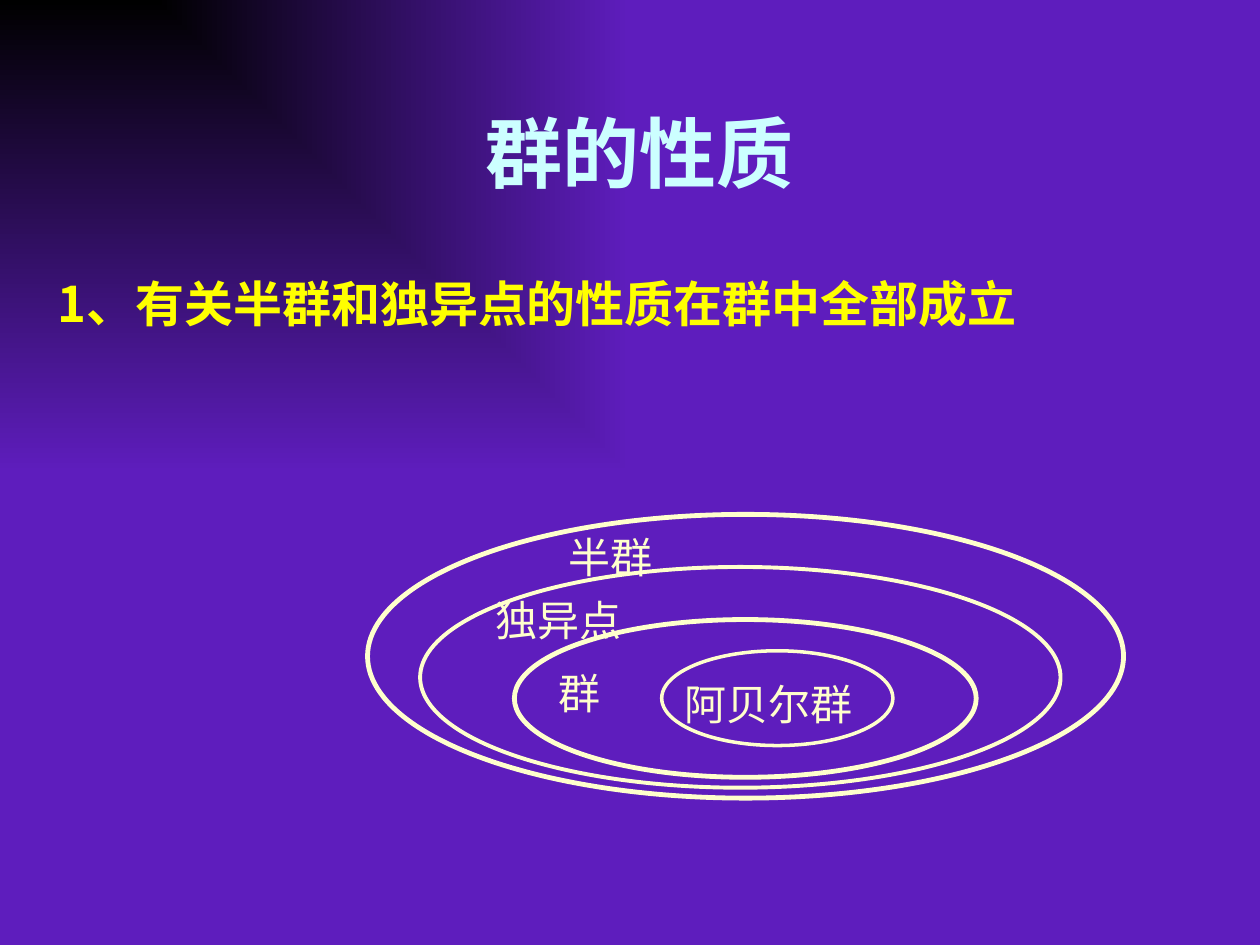
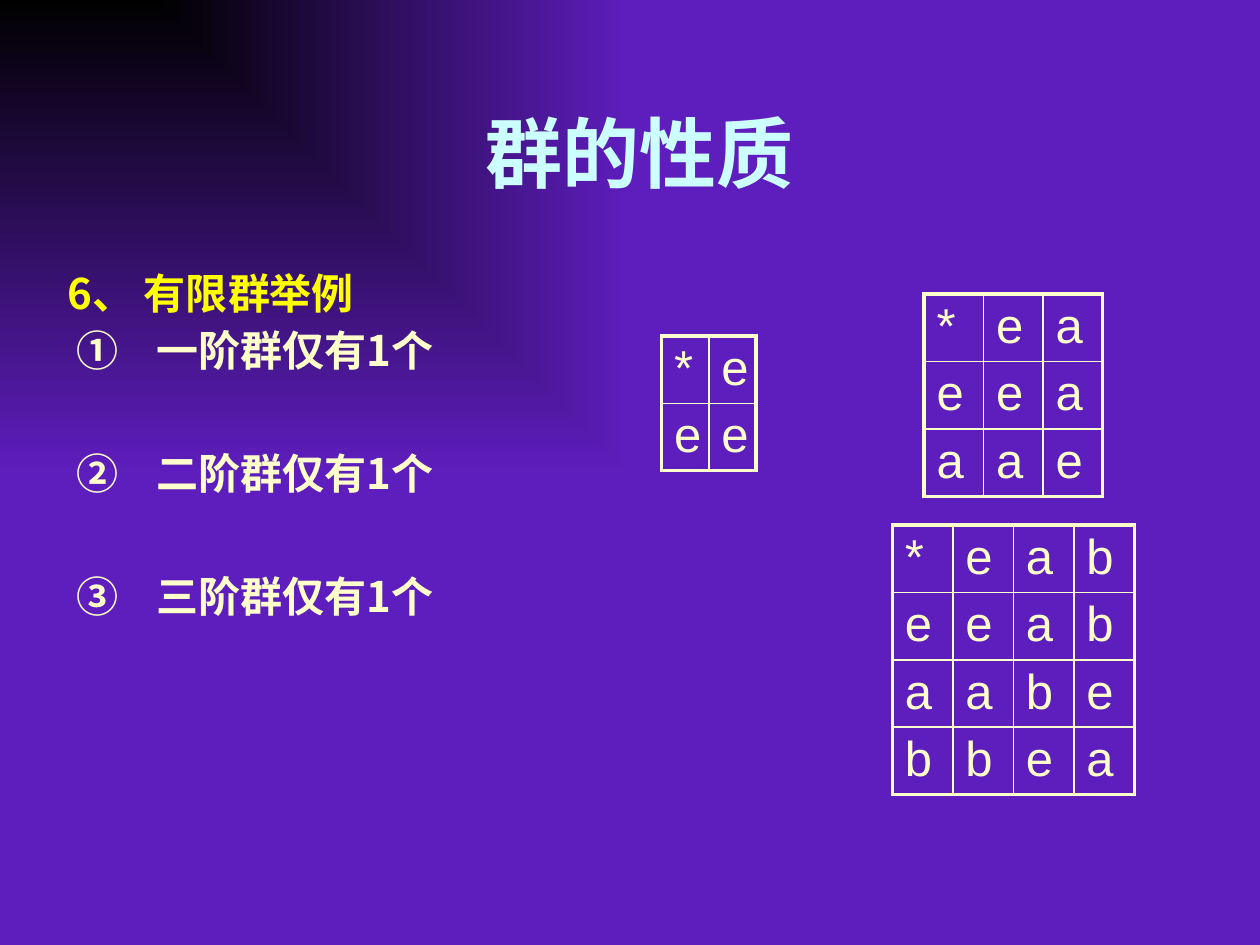
import pptx
import pptx.dml.color
import pptx.enum.shapes
import pptx.enum.text
import pptx.oxml
import pptx.oxml.ns
import pptx.util
from lxml import etree

Cm, Pt = pptx.util.Cm, pptx.util.Pt
qn = pptx.oxml.ns.qn

# Shared look
COLORS = {"black": "000000", "purple": "5E1DBD", "title": "CCFFFF",
          "heading": "FFFF00", "cream": "FFFFCC"}
CJK_FONT = "Noto Sans CJK JP"
TITLE_TEXT = "群的性质"
TITLE_FORMAT = {"size": Pt(44), "name": CJK_FONT, "bold": True}
HEADING_FORMAT = {"size": Pt(28), "name": CJK_FONT, "bold": True}
LIST_FORMAT = {"size": Pt(24), "name": CJK_FONT, "bold": True}
LABEL_FORMAT = {"size": Pt(24), "name": "Times New Roman", "bold": False}
CELL_FORMAT = {"size": Pt(28), "name": "Arial", "bold": False}
OUTER_WIDTH, INNER_WIDTH = 2.25, 1
ROW_HEIGHT = 1.36


def rgb(color):
    return pptx.dml.color.RGBColor.from_string(COLORS[color])


def set_attributes(target, values):
    for name, value in values.items():
        setattr(target, name, value)


def write(paragraph, text, font_format, color):
    run = paragraph.add_run()
    run.text = text
    set_attributes(run.font, font_format)
    run.font.color.rgb = rgb(color)
    east_asian = etree.SubElement(run.font._element, qn("a:ea"))
    east_asian.set("typeface", CJK_FONT)


def set_background(master):
    """Radiate from black in the top left corner to purple."""
    master.background.fill.solid()
    properties = master.element.find(".//" + qn("p:bgPr"))
    gradient = pptx.oxml.parse_xml(
        '<a:gradFill xmlns:a="http://schemas.openxmlformats.org/drawingml/2006/main"'
        ' rotWithShape="0"><a:gsLst>'
        f'<a:gs pos="0"><a:srgbClr val="{COLORS["black"]}"/></a:gs>'
        f'<a:gs pos="100000"><a:srgbClr val="{COLORS["purple"]}"/></a:gs>'
        '</a:gsLst><a:path path="rect"><a:fillToRect r="100000" b="100000"/></a:path>'
        '</a:gradFill>')
    properties.replace(properties.find(qn("a:solidFill")), gradient)


def set_layout(layout):
    """Place the title and the body for all slides."""
    boxes = [(0.89, 2.01, 24, 2.11), (0.91, 5.38, 22.81, 11.43)]
    for index, box in enumerate(boxes):
        placeholder = layout.placeholders[index]
        sides = ("left", "top", "width", "height")
        set_attributes(placeholder, dict(zip(sides, map(Cm, box))))


def add_titled_slide(presentation, layout):
    slide = presentation.slides.add_slide(layout)
    frame = slide.shapes.title.text_frame
    set_attributes(frame, {
        "vertical_anchor": pptx.enum.text.MSO_ANCHOR.BOTTOM,
        "auto_size": pptx.enum.text.MSO_AUTO_SIZE.NONE})
    paragraph = frame.paragraphs[0]
    paragraph.alignment = pptx.enum.text.PP_ALIGN.CENTER
    write(paragraph, TITLE_TEXT, TITLE_FORMAT, "title")
    return slide


def add_body_line(slide, text, font_format, color, margin=0.0, hanging=0.0,
                  space_before=0.0, line_spacing=1.0):
    frame = slide.placeholders[1].text_frame
    frame.auto_size = pptx.enum.text.MSO_AUTO_SIZE.NONE
    first = not frame.text
    paragraph = frame.paragraphs[0] if first else frame.add_paragraph()
    set_attributes(paragraph, {"line_spacing": line_spacing,
                               "space_before": Pt(space_before)})
    properties = paragraph._p.get_or_add_pPr()
    properties.set("marL", str(Cm(margin)))
    properties.set("indent", str(-Cm(hanging)))
    etree.SubElement(properties, qn("a:buNone"))
    write(paragraph, text, font_format, color)


def add_ring(slide, left, top, width, height, line_width):
    ring = slide.shapes.add_shape(pptx.enum.shapes.MSO_SHAPE.OVAL,
                                  Cm(left), Cm(top), Cm(width), Cm(height))
    ring.shadow.inherit = False
    ring.fill.background()
    ring.line.color.rgb = rgb("cream")
    ring.line.width = Pt(line_width)


def add_label(slide, text, left, top, width):
    label = slide.shapes.add_textbox(Cm(left), Cm(top), Cm(width), Cm(1.27))
    label.text_frame.word_wrap = True
    write(label.text_frame.paragraphs[0], text, LABEL_FORMAT, "cream")


def set_border(cell, side, width):
    line = etree.SubElement(cell._tc.get_or_add_tcPr(), qn(f"a:ln{side}"))
    line.set("w", str(Pt(width)))
    fill = etree.SubElement(line, qn("a:solidFill"))
    etree.SubElement(fill, qn("a:srgbClr")).set("val", COLORS["cream"])


def add_operation_table(slide, rows, left, top, column_width):
    """Draw a square operation table; each row is a string of elements."""
    order = len(rows)
    table = slide.shapes.add_table(
        order, order, Cm(left), Cm(top),
        Cm(column_width * order), Cm(ROW_HEIGHT * order)).table
    set_attributes(table, {"first_row": False, "horz_banding": False})
    for index in range(order):
        table.columns[index].width = Cm(column_width)
        table.rows[index].height = Cm(ROW_HEIGHT)
    for row, elements in enumerate(rows):
        for column, element in enumerate(elements):
            cell = table.cell(row, column)
            set_attributes(cell, {"margin_left": Cm(0.25), "margin_right": 0,
                                  "margin_top": Cm(0.1), "margin_bottom": Cm(0.1)})
            write(cell.text_frame.paragraphs[0], element, CELL_FORMAT, "cream")
            outer_sides = {"L": column == 0, "R": column == order - 1,
                           "T": row == 0, "B": row == order - 1}
            for side, outer in outer_sides.items():
                set_border(cell, side, OUTER_WIDTH if outer else INNER_WIDTH)
            cell.fill.background()


def add_inclusion_slide(presentation, layout):
    slide = add_titled_slide(presentation, layout)
    add_body_line(slide, "1、有关半群和独异点的性质在群中全部成立",
                  HEADING_FORMAT, "heading", margin=0.95, hanging=0.95)
    # Nested structures, from the widest to the narrowest
    for ring in [(7.41, 10.37, 15.24, 5.72, 2.75), (8.47, 11.43, 12.91, 4.45, 2.25),
                 (10.37, 12.49, 9.31, 3.18, 2.75), (13.34, 13.12, 4.66, 1.91, 2)]:
        add_ring(slide, *ring)
    for label in [("阿贝尔群", 13.55, 13.55, 5.72), ("半群", 11.22, 10.58, 2.75),
                  ("独异点", 9.74, 11.85, 3.18), ("群", 11.01, 13.34, 2.12)]:
        add_label(slide, *label)


def add_examples_slide(presentation, layout):
    slide = add_titled_slide(presentation, layout)
    add_body_line(slide, "6、 有限群举例", LIST_FORMAT, "heading",
                  margin=0.2, line_spacing=0.9)
    # One item per group order, spaced to leave room for the tables
    items = ["①\t一阶群仅有1个", "②\t二阶群仅有1个", "③\t三阶群仅有1个"]
    for item, space_before in zip(items, (6.6, 44.5, 44.5)):
        add_body_line(slide, item, LIST_FORMAT, "cream", margin=2, hanging=1.62,
                      space_before=space_before, line_spacing=0.9)
    # Operation tables
    add_operation_table(slide, ["*e", "ee"], 13.34, 6.77, 0.95)
    add_operation_table(slide, ["*ea", "eea", "aae"], 18.63, 5.93, 1.2)
    add_operation_table(slide, ["*eab", "eeab", "aabe", "bbea"], 17.99, 10.58, 1.22)


def main():
    presentation = pptx.Presentation()
    presentation.slide_width, presentation.slide_height = Cm(25.4), Cm(19.05)
    set_background(presentation.slide_master)
    layout = presentation.slide_layouts[1]
    set_layout(layout)
    add_inclusion_slide(presentation, layout)
    add_examples_slide(presentation, layout)
    presentation.save("out.pptx")


if __name__ == "__main__":
    main()
